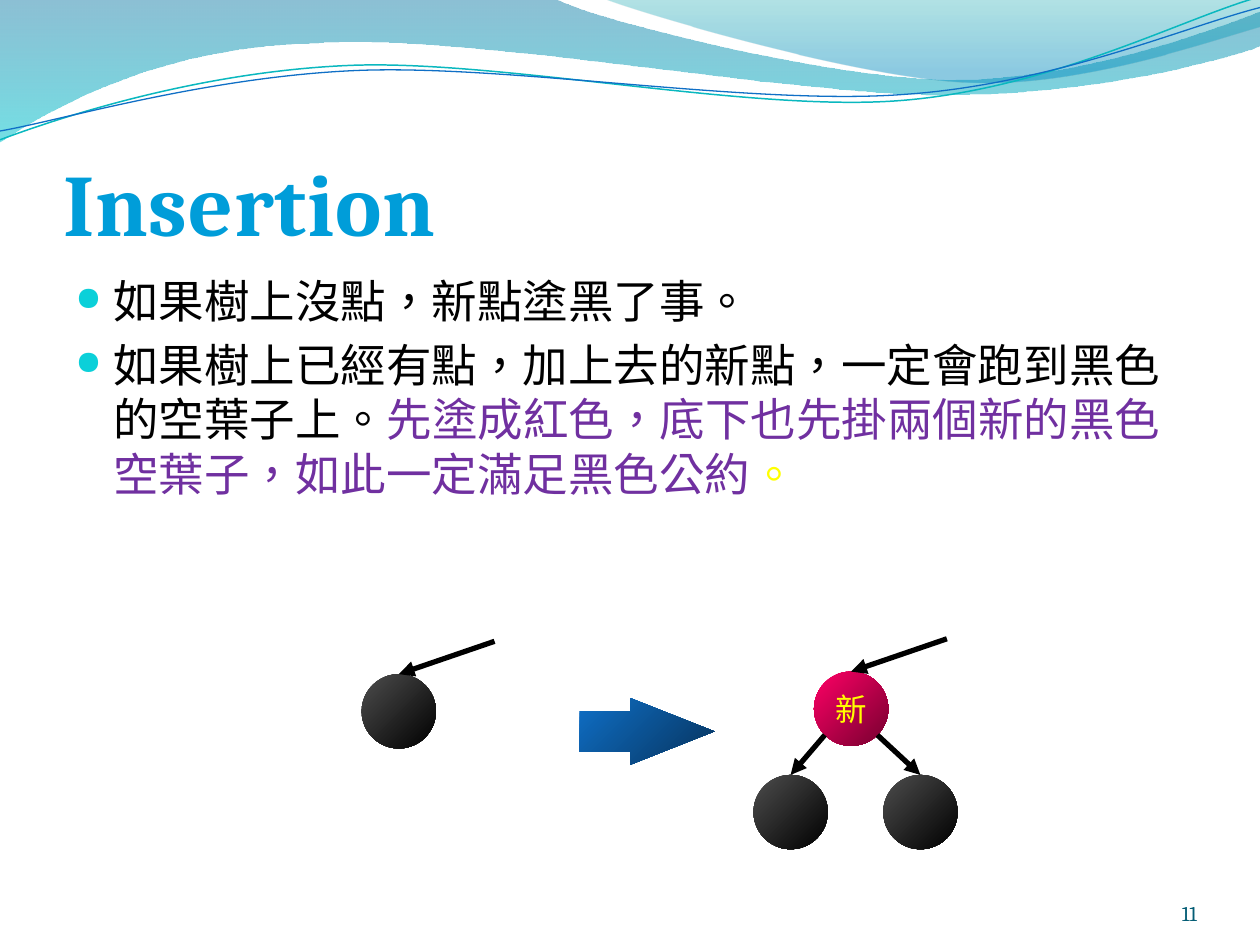
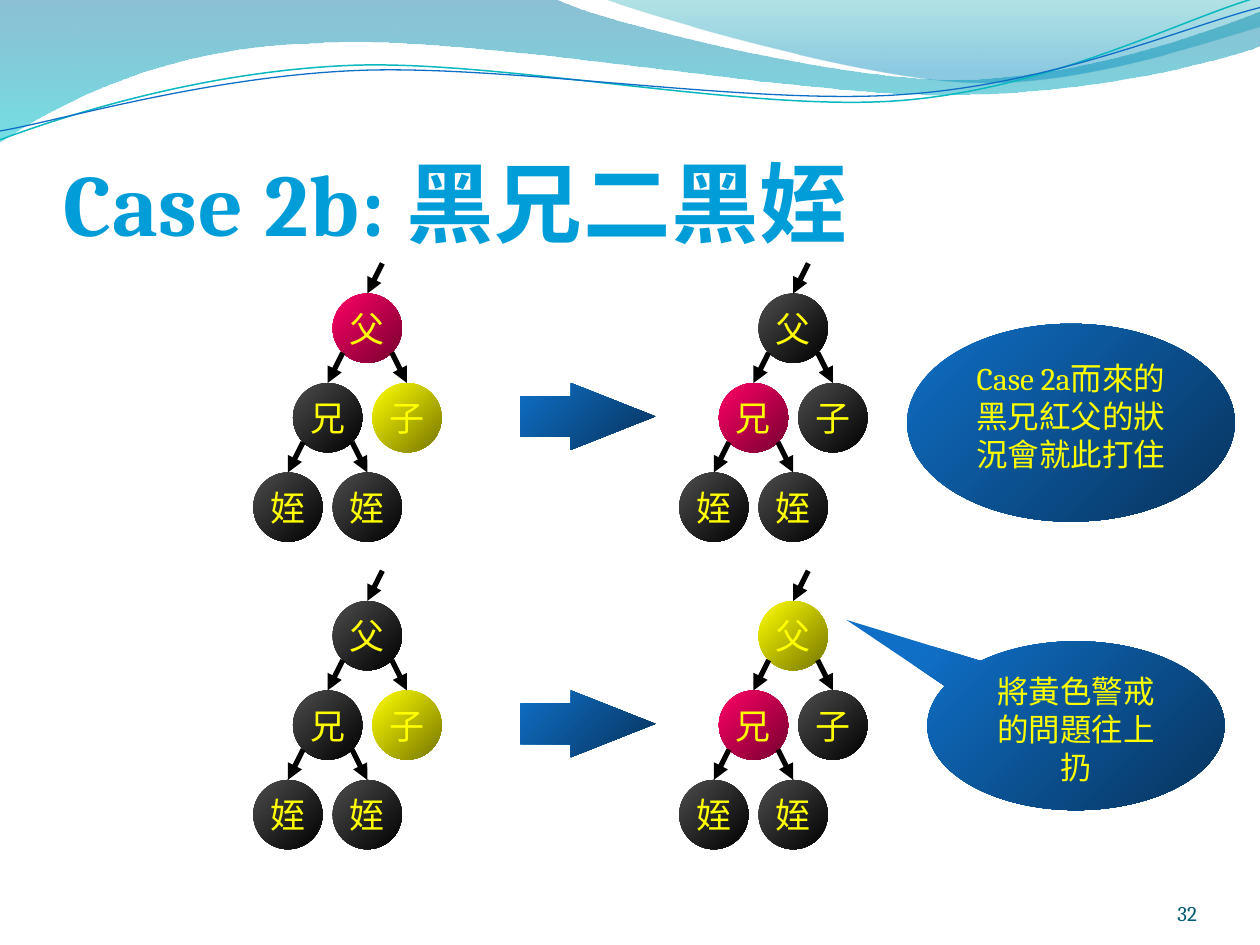
from dataclasses import dataclass
from typing import NamedTuple

from lxml import etree
from pptx import Presentation
from pptx.dml.color import RGBColor
from pptx.enum.lang import MSO_LANGUAGE_ID
from pptx.enum.shapes import MSO_CONNECTOR, MSO_SHAPE
from pptx.enum.text import MSO_ANCHOR, MSO_AUTO_SIZE, PP_ALIGN
from pptx.oxml.ns import qn
from pptx.util import Inches, Pt

ELLIPSE = MSO_SHAPE.OVAL
CALLOUT = MSO_SHAPE.OVAL_CALLOUT
RIGHT_ARROW = MSO_SHAPE.RIGHT_ARROW
STRAIGHT = MSO_CONNECTOR.STRAIGHT
TOP, MIDDLE, BOTTOM = MSO_ANCHOR.TOP, MSO_ANCHOR.MIDDLE, MSO_ANCHOR.BOTTOM
LEFT, CENTER, RIGHT = PP_ALIGN.LEFT, PP_ALIGN.CENTER, PP_ALIGN.RIGHT
NO_AUTOFIT = MSO_AUTO_SIZE.NONE
TRADITIONAL_CHINESE = MSO_LANGUAGE_ID.TRADITIONAL_CHINESE
TITLE_ONLY = 5


class Stop(NamedTuple):
    position: int
    color: str
    opacity: int = 100


Gradient = tuple[Stop, Stop]
Point = tuple[float, float]
Segment = tuple[Point, ...]


@dataclass(frozen=True)
class Theme:
    heading_font: str = "Cambria"
    node_font: str = "Times New Roman"
    title: str = "009DD9"
    number: str = "045D75"
    text: str = "000000"
    emphasis: str = "7030A0"
    label: str = "FFFF00"
    bullet: str = "0BD0D9"
    edge: str = "000000"
    title_size: int = 50
    body_size: int = 26
    node_size: int = 20
    note_size: int = 18
    number_size: int = 12
    black: Gradient = (Stop(0, "4D4D4D"), Stop(100, "000000"))
    red: Gradient = (Stop(0, "FF0066"), Stop(100, "76002F"))
    yellow: Gradient = (Stop(0, "FFFF00"), Stop(100, "767600"))
    blue: Gradient = (Stop(0, "0F6FC6"), Stop(100, "07335C"))


THEME = Theme()


@dataclass(frozen=True)
class Wave:
    start: Point
    segments: tuple[Segment, ...]
    fill: Gradient | None = None
    line: str = ""
    width: float = 0


@dataclass(frozen=True)
class Node:
    left: float
    top: float
    diameter: float
    fill: Gradient
    label: str = ""
    size: int = THEME.node_size

    @property
    def x(self) -> float:
        return self.left + self.diameter / 2

    @property
    def y(self) -> float:
        return self.top + self.diameter / 2


@dataclass(frozen=True)
class Tree:
    left: float
    top: float
    father: Gradient
    brother: Gradient
    child: Gradient


@dataclass(frozen=True)
class Note:
    kind: int
    frame: tuple[float, float, float, float]
    text: str
    adjustments: tuple[float, ...] = ()


WAVES = (
    Wave((0, 0),
         (((4.4, -0.01),),
          ((4.76, 0.17), (6.64, 0.63), (7.58, 0.63)),
          ((8.53, 0.63), (9.58, 0.26), (10, 0.09)),
          ((10.01, 0.36),),
          ((9.83, 0.44), (8.7, 0.76), (7.46, 0.75)),
          ((6.22, 0.75), (3.82, 0.28), (2.57, 0.34)),
          ((1.29, 0.36), (0.46, 0.83), (-0.01, 1.13))),
         fill=(Stop(0, "0074A1", 45), Stop(100, "00C6CF", 55))),
    Wave((4.79, -0.01),
         (((5.09, 0.11), (6.82, 0.62), (7.69, 0.65)),
          ((8.56, 0.69), (9.61, 0.32), (10, 0.21)),
          ((10, 0),)),
         fill=(Stop(0, "00A1A9", 30), Stop(80, "008BBF", 45))),
    Wave((0, 1.11),
         (((0.48, 0.93), (1.58, 0.57), (2.77, 0.52)),
          ((3.95, 0.47), (5.93, 0.89), (7.13, 0.8)),
          ((8.33, 0.71), (9.38, 0.15), (9.98, -0.02))),
         line="0AB8BF", width=0.85),
    Wave((0, 1.04),
         (((0.47, 0.96), (1.64, 0.61), (2.83, 0.56)),
          ((4.03, 0.51), (5.97, 0.84), (7.17, 0.75)),
          ((8.36, 0.67), (9.41, 0.21), (10, 0.06))),
         line="0F6FC6", width=0.75),
)


def bend_segments(shape, segments: tuple[Segment, ...]) -> None:
    lines = iter(list(shape._element.iter(qn("a:lnTo"))))
    for segment in segments:
        first, *others = [next(lines) for _ in segment]
        if others:
            first.tag = qn("a:cubicBezTo")
            for line in others:
                first.append(line[0])
                line.getparent().remove(line)


def set_gradient(shape, stops: Gradient, angle: int = 45) -> None:
    shape.fill.gradient()
    gradient = shape._element.spPr.find(qn("a:gradFill"))
    gradient.clear()
    stop_list = etree.SubElement(gradient, qn("a:gsLst"))
    for stop in stops:
        entry = etree.SubElement(stop_list, qn("a:gs"), pos=str(stop.position * 1000))
        color = etree.SubElement(entry, qn("a:srgbClr"), val=stop.color)
        if stop.opacity < 100:
            etree.SubElement(color, qn("a:alpha"), val=str(stop.opacity * 1000))
    etree.SubElement(gradient, qn("a:lin"), ang=str(angle * 60000), scaled="1")


def style_paragraph(para, font: str, size: int, color: str, align=LEFT) -> None:
    para.alignment = align
    para.font.name = font
    para.font.size = Pt(size)
    para.font.color.rgb = RGBColor.from_string(color)


def draw_wave(page, wave: Wave) -> None:
    start, *rest = [(Inches(x), Inches(y))
                    for x, y in (wave.start, *sum(wave.segments, ()))]
    builder = page.shapes.build_freeform(*start)
    builder.add_line_segments(rest, close=wave.fill is not None)
    shape = builder.convert_to_shape()
    bend_segments(shape, wave.segments)
    shape.shadow.inherit = False
    if wave.fill:
        set_gradient(shape, wave.fill, 90)
        shape.line.fill.background()
    else:
        shape.fill.background()
        shape.line.color.rgb = RGBColor.from_string(wave.line)
        shape.line.width = Pt(wave.width)


def add_page(deck, title: str, number: str):
    page = deck.slides.add_slide(deck.slide_layouts[TITLE_ONLY])
    for wave in WAVES:
        draw_wave(page, wave)

    heading = page.shapes.title
    heading.left, heading.top = Inches(0.5), Inches(0.77)
    heading.width, heading.height = Inches(9), Inches(1.25)
    frame = heading.text_frame
    frame.text = title
    frame.auto_size = NO_AUTOFIT
    frame.vertical_anchor = BOTTOM
    frame.margin_left = frame.margin_right = frame.margin_bottom = 0
    frame.margin_top = Inches(0.05)
    para = frame.paragraphs[0]
    style_paragraph(para, THEME.heading_font, THEME.title_size, THEME.title)
    para.font.bold = True
    para._p.pPr.find(qn("a:defRPr")).set("spc", "50")

    box = page.shapes.add_textbox(Inches(8.67), Inches(6.95), Inches(0.83), Inches(0.4))
    frame = box.text_frame
    frame.text = number
    frame.word_wrap = True
    frame.vertical_anchor = BOTTOM
    frame.margin_left = frame.margin_right = frame.margin_top = frame.margin_bottom = 0
    style_paragraph(frame.paragraphs[0], THEME.heading_font, THEME.number_size,
                    THEME.number, RIGHT)
    return page


def add_filled_shape(page, kind, frame, fill: Gradient, adjustments=()):
    shape = page.shapes.add_shape(kind, *(Inches(value) for value in frame))
    shape.shadow.inherit = False
    set_gradient(shape, fill)
    shape.line.fill.background()
    for index, value in enumerate(adjustments):
        shape.adjustments[index] = value
    return shape


def draw_block_arrow(page, left: float, top: float) -> None:
    add_filled_shape(page, RIGHT_ARROW, (left, top, 1.07, 0.53), THEME.blue, (0.608, 1.261))


def draw_node(page, node: Node) -> None:
    frame = (node.left, node.top, node.diameter, node.diameter)
    shape = add_filled_shape(page, ELLIPSE, frame, node.fill)
    if node.label:
        shape.text_frame.text = node.label
        shape.text_frame.word_wrap = False
        shape.text_frame.vertical_anchor = MIDDLE
        style_paragraph(shape.text_frame.paragraphs[0], THEME.node_font, node.size,
                        THEME.label, CENTER)


def draw_arrow(page, start: Point, end: Point) -> None:
    connector = page.shapes.add_connector(
        STRAIGHT, *(Inches(value) for value in (*start, *end)))
    connector.line.color.rgb = RGBColor.from_string(THEME.edge)
    connector.line.width = Pt(3)
    properties = connector._element.spPr
    etree.SubElement(properties.find(qn("a:ln")), qn("a:tailEnd"), type="triangle")
    etree.SubElement(properties, qn("a:effectLst"))


def draw_entry(page, node: Node, dx: float, dy: float) -> None:
    draw_arrow(page, (node.x + dx, node.top + dy), (node.x, node.top))


def draw_edge(page, parent: Node, child: Node) -> None:
    reach = parent.diameter / 8**0.5
    side = 1 if child.x > parent.x else -1
    draw_arrow(page, (parent.x + side * reach, parent.y + reach), (child.x, child.top))


def draw_tree(page, tree: Tree) -> None:
    dx, dy, diameter = 0.315, 0.71, 0.55

    def place(column: int, row: int, fill: Gradient, label: str) -> Node:
        return Node(tree.left + column * dx, tree.top + row * dy, diameter, fill, label)

    father = place(0, 0, tree.father, "父")
    brother = place(-1, 1, tree.brother, "兄")
    child = place(1, 1, tree.child, "子")
    nephews = [place(column, 2, THEME.black, "姪") for column in (-2, 0)]
    for node in (father, brother, child, *nephews):
        draw_node(page, node)
    draw_entry(page, father, 0.12, -0.24)
    for parent, below in ((father, (brother, child)), (brother, nephews)):
        for node in below:
            draw_edge(page, parent, node)


def draw_note(page, note: Note) -> None:
    shape = add_filled_shape(page, note.kind, note.frame, THEME.blue, note.adjustments)
    frame = shape.text_frame
    frame.text = note.text
    frame.word_wrap = True
    frame.vertical_anchor = TOP
    style_paragraph(frame.paragraphs[0], THEME.heading_font, THEME.note_size,
                    THEME.label, CENTER)


def add_bullets(page, bullets) -> None:
    box = page.shapes.add_textbox(Inches(0.5), Inches(2.12), Inches(9), Inches(4.8))
    frame = box.text_frame
    frame.word_wrap = True
    for index, spans in enumerate(bullets):
        para = frame.add_paragraph() if index else frame.paragraphs[0]
        properties = para._p.get_or_add_pPr()
        properties.set("marL", str(Inches(0.3)))
        properties.set("indent", str(-Inches(0.3)))
        color = etree.SubElement(properties, qn("a:buClr"))
        etree.SubElement(color, qn("a:srgbClr"), val=THEME.bullet)
        etree.SubElement(properties, qn("a:buSzPct"), val="73000")
        etree.SubElement(properties, qn("a:buChar"), char="●")
        style_paragraph(para, THEME.heading_font, THEME.body_size, THEME.text)
        if index:
            para.space_before = Pt(5.2)
        for text, span_color in spans:
            span = para.add_run()
            span.text = text
            span.font.language_id = TRADITIONAL_CHINESE
            span.font.color.rgb = RGBColor.from_string(span_color)


def build_insertion(deck) -> None:
    page = add_page(deck, "Insertion", "11")
    add_bullets(page, (
        (("如果樹上沒點，新點塗黑了事。", THEME.text),),
        (("如果樹上已經有點，加上去的新點，一定會跑到黑色的空葉子上。", THEME.text),
         ("先塗成紅色，底下也先掛兩個新的黑色空葉子，如此一定滿足黑色公約", THEME.emphasis),
         ("。", THEME.label)),
    ))
    empty_leaf = Node(2.87, 5.35, 0.59, THEME.black)
    new_node = Node(6.46, 5.33, 0.59, THEME.red, "新", THEME.note_size)
    leaves = [Node(left, 6.15, 0.59, THEME.black) for left in (5.98, 7.01)]
    for node in (empty_leaf, new_node, *leaves):
        draw_node(page, node)
    for node in (empty_leaf, new_node):
        draw_entry(page, node, 0.76, -0.26)
    for leaf in leaves:
        draw_edge(page, new_node, leaf)
    draw_block_arrow(page, 4.6, 5.54)


def build_black_nephews(deck) -> None:
    page = add_page(deck, "Case 2b: 黑兄二黑姪", "32")
    black, red, yellow = THEME.black, THEME.red, THEME.yellow
    before_left, after_left = 2.64, 6.02
    for top, father_before, father_after in ((2.33, red, black), (4.77, black, yellow)):
        draw_tree(page, Tree(before_left, top, father_before, black, yellow))
        draw_block_arrow(page, 4.13, top + 0.71)
        draw_tree(page, Tree(after_left, top, father_after, red, black))
    draw_note(page, Note(ELLIPSE, (7.2, 2.57, 2.6, 1.57),
                         "Case 2a而來的黑兄紅父的狀況會就此打住"))
    draw_note(page, Note(CALLOUT, (7.36, 5.09, 2.36, 1.34),
                         "將黃色警戒的問題往上扔", (-0.772, -0.627)))


def main() -> None:
    deck = Presentation()
    deck.slide_width, deck.slide_height = Inches(10), Inches(7.5)
    build_insertion(deck)
    build_black_nephews(deck)
    deck.save("out.pptx")


if __name__ == "__main__":
    main()
